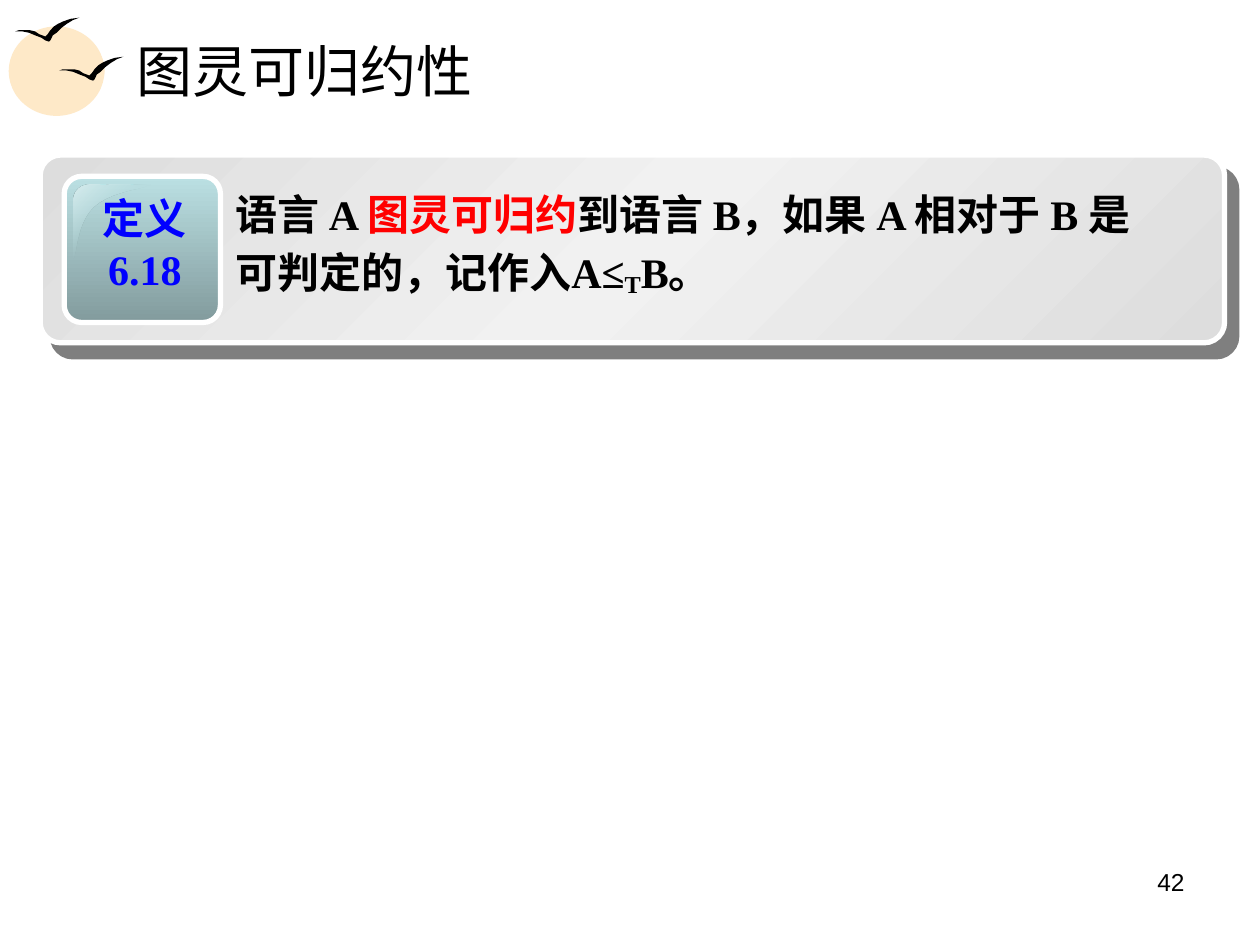
from lxml.etree import SubElement
from pptx import Presentation
from pptx.dml.color import RGBColor
from pptx.enum.shapes import MSO_SHAPE
from pptx.enum.text import MSO_ANCHOR, PP_ALIGN
from pptx.oxml.ns import qn
from pptx.util import Pt

COLORS = {
    "sun": "FEE9C8", "black": "000000", "white": "FFFFFF",
    "silver": "DDDDDD", "pale": "F1F1F1", "teal": "BBE0E3",
    "dark teal": "829B9D", "gloss": "D9EDEE", "blue": "0000FF", "red": "FF0000",
}


def fill_gradient(shape, angle, stops):
    """Fill with (percent, color, opacity) stops; the angle runs clockwise."""
    shape.fill.gradient()
    shape.fill.gradient_angle = 360 - angle
    stop_list = shape._element.spPr.find(".//" + qn("a:gsLst"))
    stop_list.clear()
    for position, color, opacity in stops:
        stop = SubElement(stop_list, qn("a:gs"), pos=str(position * 1000))
        value = SubElement(stop, qn("a:srgbClr"), val=COLORS[color])
        SubElement(value, qn("a:alpha"), val=str(opacity * 1000))


def add_run(paragraph, text, size, color, bold=False, name="Times New Roman"):
    run = paragraph.add_run()
    run.text = text
    for attribute, value in {"size": Pt(size), "bold": bold, "name": name}.items():
        setattr(run.font, attribute, value)
    run.font.color.rgb = RGBColor.from_string(COLORS[color])
    return run


presentation = Presentation()
presentation.slide_width, presentation.slide_height = Pt(720), Pt(540)
slide = presentation.slides.add_slide(presentation.slide_layouts[5])

# Sun behind the title
for left, top, width, height in [(5, 15.1, 54.7, 51.1), (14.4, 20.2, 45.4, 39.6)]:
    sun = slide.shapes.add_shape(
        MSO_SHAPE.OVAL, Pt(left), Pt(top), Pt(width), Pt(height))
    sun.shadow.inherit = False
    sun.fill.solid()
    sun.fill.fore_color.rgb = RGBColor.from_string(COLORS["sun"])
    sun.line.fill.background()

# Two birds with one outline
bird_outline = [
    (0, 7.9), (2.2, 7.2), (5.8, 7.2), (8.6, 7.2), (11.5, 7.9), (13.7, 9.4),
    (17.3, 10.8), (18.7, 9.4), (20.2, 7.2), (22.3, 5), (24.5, 3.6), (27.4, 2.2),
    (31.7, 0.7), (36.7, 0), (33.1, 1.4), (29.5, 3.6), (26.6, 5.8), (23.8, 8.6),
    (21.6, 10.1), (20.2, 13), (19.4, 13.7), (17.3, 13), (15.1, 11.5),
    (11.5, 10.1), (7.9, 8.6), (4.3, 7.9),
]
for left, top in [(33.8, 32.4), (8.6, 10.1)]:
    points = [(Pt(left + x), Pt(top + y)) for x, y in bird_outline]
    builder = slide.shapes.build_freeform(*points[0])
    builder.add_line_segments(points[1:])
    bird = builder.convert_to_shape()
    bird.shadow.inherit = False
    bird.fill.solid()
    bird.fill.fore_color.rgb = RGBColor.from_string(COLORS["black"])
    bird.line.fill.background()

# Definition panel and its label tile
group = slide.shapes.add_group_shape()
boxes = []
for left, top, width, height, corner, angle, stops in [
    (23, 88.6, 676.8, 107.3, 0.109, 225,
     [(0, "silver", 100), (50, "pale", 100), (100, "silver", 100)]),
    (36.7, 100.8, 89.3, 83.5, 0.119, 90,
     [(0, "teal", 100), (100, "dark teal", 100)]),
]:
    box = group.shapes.add_shape(
        MSO_SHAPE.ROUNDED_RECTANGLE, Pt(left), Pt(top), Pt(width), Pt(height))
    box.adjustments[0] = corner
    box.shadow.inherit = False
    fill_gradient(box, angle, stops)
    box.line.color.rgb = RGBColor.from_string(COLORS["white"])
    box.line.width = Pt(3)
    boxes.append(box)

# Offset shadow of the panel
effects = boxes[0]._element.spPr.find(qn("a:effectLst"))
shadow = SubElement(effects, qn("a:outerShdw"), dist=str(Pt(10.6)),
                    dir=str(49 * 60000), algn="ctr", rotWithShape="0")
shadow_color = SubElement(shadow, qn("a:srgbClr"), val=COLORS["black"])
SubElement(shadow_color, qn("a:alpha"), val="50000")

# Gloss on the tile corner, its curves sampled from Bezier control points
gloss_points = [(51.1, 105.8)]
for curve in [
    [(51.1, 105.8), (46.1, 105.8), (41.8, 109.4), (41.8, 114.5)],
    [(41.8, 147.6), (43.9, 147.6), (43.2, 127.4), (54, 118.1)],
    [(54, 118.1), (64.8, 108.7), (86.4, 108), (85.7, 105.8)],
]:
    for step in range(13):
        t = step / 12
        weights = [(1 - t) ** 3, 3 * t * (1 - t) ** 2, 3 * t * t * (1 - t), t ** 3]
        gloss_points.append(tuple(
            sum(weight * point[axis] for weight, point in zip(weights, curve))
            for axis in (0, 1)))
gloss_points = [(Pt(x), Pt(y)) for x, y in gloss_points]
builder = group.shapes.build_freeform(*gloss_points[0])
builder.add_line_segments(gloss_points[1:])
gloss = builder.convert_to_shape()
gloss.shadow.inherit = False
fill_gradient(gloss, 225, [(0, "gloss", 100), (50, "teal", 0), (100, "gloss", 100)])
gloss.line.fill.background()

# Label text
label = group.shapes.add_textbox(Pt(49), Pt(106.6), Pt(67.7), Pt(64.8)).text_frame
label.word_wrap = True
for paragraph, text in [(label.paragraphs[0], "定义"), (label.add_paragraph(), "6.18")]:
    paragraph.alignment = PP_ALIGN.CENTER
    add_run(paragraph, text, 24, "blue", True)

# Definition text
definition = group.shapes.add_textbox(
    Pt(127.4), Pt(100.1), Pt(544.3), Pt(74.2)).text_frame
definition.word_wrap = True
paragraph = definition.paragraphs[0]
paragraph.line_spacing = 1.15
paragraph.space_before = Pt(4.5)
for text, color, baseline in [
    ("语言 A ", "black", 0),
    ("图灵可归约", "red", 0),
    ("到语言 B，如果 A 相对于 B 是可判定的，记作入A≤", "black", 0),
    ("T", "black", -10),
    ("B。", "black", 0),
]:
    run = add_run(paragraph, text, 24, color, True)
    if baseline:
        run._r.get_or_add_rPr().set("baseline", str(baseline * 1000))

# Title
title = slide.shapes.title
for attribute, value in {"left": 70.6, "top": 15.1, "width": 614.2, "height": 49.7}.items():
    setattr(title, attribute, Pt(value))
title.text_frame.vertical_anchor = MSO_ANCHOR.MIDDLE
paragraph = title.text_frame.paragraphs[0]
paragraph.alignment = PP_ALIGN.LEFT
add_run(paragraph, "图灵可归约性", 32, "black")

# Slide number
number = slide.shapes.add_textbox(Pt(516.2), Pt(491.8), Pt(167.8), Pt(37.4)).text_frame
number.word_wrap = True
number.paragraphs[0].alignment = PP_ALIGN.RIGHT
add_run(number.paragraphs[0], "42", 14, "black", name="Arial")

presentation.save("out.pptx")
